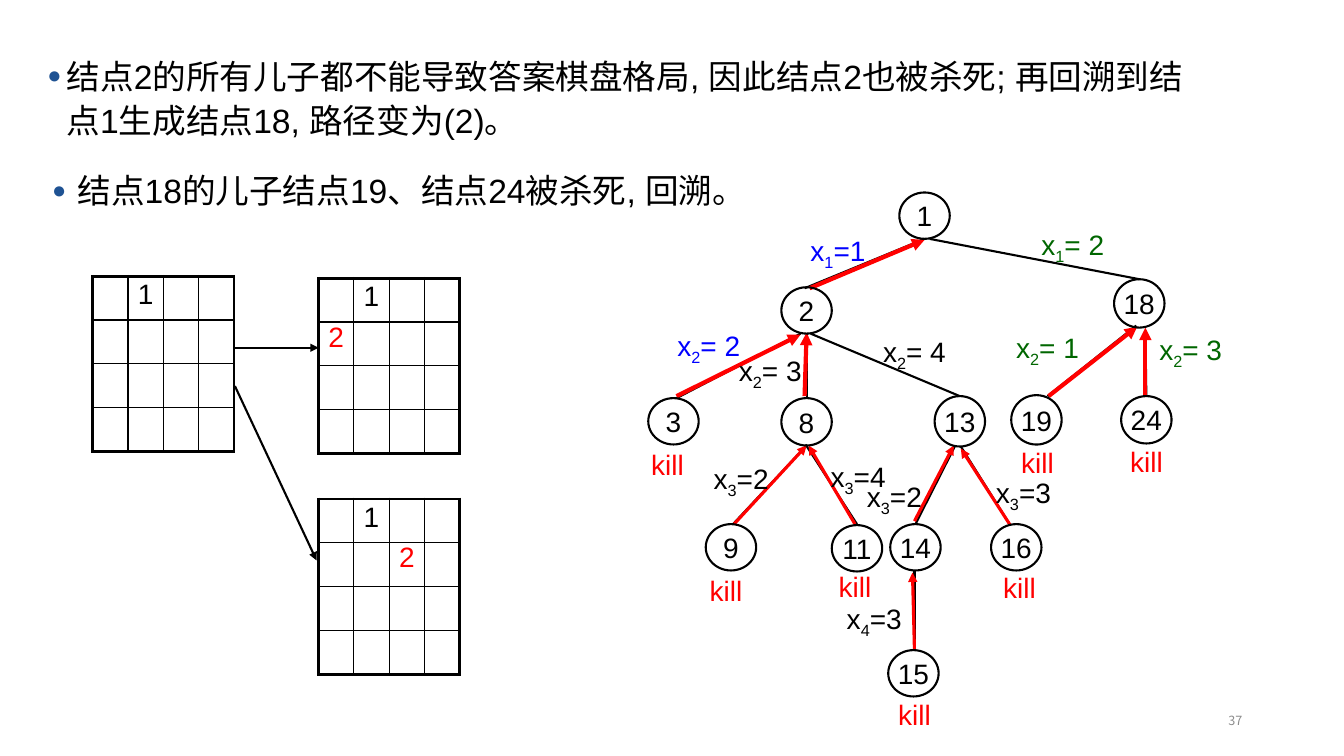
from lxml import etree
from pptx import Presentation
from pptx.dml.color import RGBColor
from pptx.enum.shapes import MSO_CONNECTOR, MSO_SHAPE
from pptx.enum.text import MSO_ANCHOR, MSO_AUTO_SIZE, PP_ALIGN
from pptx.oxml.ns import qn
from pptx.util import Inches, Pt

LINE, OVAL = MSO_CONNECTOR.STRAIGHT, MSO_SHAPE.OVAL
MIDDLE, TOP = MSO_ANCHOR.MIDDLE, MSO_ANCHOR.TOP
CENTER, RIGHT = PP_ALIGN.CENTER, PP_ALIGN.RIGHT
BLACK = RGBColor(0x00, 0x00, 0x00)
WHITE = RGBColor(0xFF, 0xFF, 0xFF)
RED = RGBColor(0xFF, 0x00, 0x00)
BLUE = RGBColor(0x00, 0x00, 0xFF)
GREEN = RGBColor(0x00, 0x66, 0x00)
GREY = RGBColor(0x8C, 0x8C, 0x8C)
CJK = "Noto Sans CJK SC"

prs = Presentation()
prs.slide_width, prs.slide_height = Inches(13.33), Inches(7.5)
slide = prs.slides.add_slide(prs.slide_layouts[1])
title = slide.shapes.title
title.element.getparent().remove(title.element)


def style(r, color, size=20, font="Arial"):
    r.font.name, r.font.size, r.font.color.rgb = font, Pt(size), color
    etree.SubElement(r.font._element, qn("a:ea"), typeface=CJK)


def add_line(x1, y1, x2, y2, color, width, arrow):
    s = slide.shapes.add_connector(LINE, Inches(x1), Inches(y1), Inches(x2), Inches(y2))
    s.line.color.rgb, s.line.width = color, Pt(width)
    if arrow:
        etree.SubElement(s.line._get_or_add_ln(), qn("a:tailEnd"), type="triangle")
    etree.SubElement(s._element.spPr, qn("a:effectLst"))


# Bulleted paragraphs
body = slide.placeholders[1]
body.left, body.top, body.width, body.height = (
    Inches(0.37), Inches(0.46), Inches(11.68), Inches(1.14))
note = slide.shapes.add_textbox(Inches(0.42), Inches(1.6), Inches(7.33), Inches(0.97))
bullets = [
    (body, 0.19, "结点2的所有儿子都不能导致答案棋盘格局, 因此结点2也被杀死; 再回溯到结点1生成结点18, 路径变为(2)。"),
    (note, 0.25, "结点18的儿子结点19、结点24被杀死, 回溯。"),
]
for s, indent, text in bullets:
    tf = s.text_frame
    tf.text = text
    tf.word_wrap, tf.auto_size, tf.vertical_anchor = True, MSO_AUTO_SIZE.NONE, TOP
    p = tf.paragraphs[0]
    p.line_spacing, p.space_before = 1.1, Pt(0)
    pPr = p._p.get_or_add_pPr()
    pPr.set("marL", str(Inches(indent)))
    pPr.set("indent", str(-Inches(indent)))
    bullet_color = etree.SubElement(pPr, qn("a:buClr"))
    etree.SubElement(bullet_color, qn("a:srgbClr"), val="1E5293")
    etree.SubElement(pPr, qn("a:buSzPct"), val="70000")
    etree.SubElement(pPr, qn("a:buFont"), typeface="Arial")
    etree.SubElement(pPr, qn("a:buChar"), char="●")
    style(p.runs[0], BLACK, 24)

# Chessboards: left, top, queens as (row, column, text, colour)
queen_1 = (0, 1, "1", BLACK)
boards = [
    (0.92, 2.74, [queen_1]),
    (3.16, 2.76, [queen_1, (1, 0, "2", RED)]),
    (3.16, 4.95, [queen_1, (1, 2, "2", RED)]),
]
for left, top, queens in boards:
    table = slide.shapes.add_table(
        4, 4, Inches(left), Inches(top), Inches(1.4), Inches(1.74)).table
    table.first_row = table.horz_banding = False
    for i in range(4):
        table.columns[i].width = Inches(0.35)
        table.rows[i].height = Inches(1.74 / 4)
        for j in range(4):
            cell = table.cell(i, j)
            cell.margin_left = cell.margin_right = Inches(0.05)
            tcPr = cell._tc.get_or_add_tcPr()
            edges = {"lnL": j == 0, "lnR": j == 3, "lnT": i == 0, "lnB": i == 3}
            for tag, outer in edges.items():
                ln = etree.SubElement(tcPr, qn("a:" + tag), w=str(Pt(2.25 if outer else 1)))
                fill = etree.SubElement(ln, qn("a:solidFill"))
                etree.SubElement(fill, qn("a:srgbClr"), val=str(BLACK))
            cell.fill.solid()
            cell.fill.fore_color.rgb = WHITE
    for row, col, text, color in queens:
        cell = table.cell(row, col)
        cell.text = text
        cell.vertical_anchor = MIDDLE if row == 0 else TOP
        p = cell.text_frame.paragraphs[0]
        p.alignment, p.line_spacing = CENTER, 0.7 if row == 0 else 0.8
        style(p.runs[0], color)

add_line(2.33, 3.45, 3.16, 3.45, BLACK, 1.5, True)
add_line(2.33, 3.83, 3.14, 5.56, BLACK, 1.5, True)

# Tree edges
edges = [
    (9.17, 2.37, 7.98, 2.86), (9.22, 2.37, 11.3, 2.77),
    (7.94, 3.31, 6.71, 3.95), (8, 3.3, 8, 3.95), (8.04, 3.31, 9.52, 3.93),
    (11.27, 3.23, 10.39, 3.93), (11.36, 3.28, 11.37, 3.93),
    (7.99, 4.43, 7.27, 5.2), (7.99, 4.41, 8.5, 5.2),
    (9.47, 4.43, 9.08, 5.2), (9.53, 4.43, 10.02, 5.21), (9.07, 5.66, 9.07, 6.46),
]
for edge in edges:
    add_line(*edge, BLACK, 1.5, False)

# Backtracking arrows, thicker on the upper levels
backtracks = [
    (8.03, 2.86, 9.17, 2.38, 3), (6.71, 3.93, 7.94, 3.32, 3), (7.98, 3.93, 8, 3.3, 3),
    (10.4, 3.93, 11.28, 3.24, 3), (11.36, 3.94, 11.36, 3.25, 3),
    (7.28, 5.2, 8, 4.42, 2.25), (8.48, 5.2, 8.02, 4.42, 2.25),
    (9.07, 5.17, 9.46, 4.42, 2.25), (10.02, 5.21, 9.53, 4.45, 2.25),
    (9.07, 6.45, 9.05, 5.68, 2.25),
]
for x1, y1, x2, y2, width in backtracks:
    add_line(x1, y1, x2, y2, RED, width, True)

# Tree nodes: number, left, top, height
nodes = [
    (1, 8.92, 1.91, 0.46), (2, 7.75, 2.85, 0.46), (18, 11.05, 2.77, 0.48),
    (3, 6.43, 3.95, 0.46), (8, 7.75, 3.95, 0.47), (13, 9.27, 3.93, 0.5),
    (19, 10.03, 3.92, 0.49), (24, 11.12, 3.93, 0.47),
    (9, 7, 5.2, 0.46), (11, 8.25, 5.21, 0.46), (14, 8.83, 5.2, 0.46),
    (16, 9.83, 5.2, 0.46), (15, 8.81, 6.45, 0.46),
]
for number, left, top, height in nodes:
    s = slide.shapes.add_shape(OVAL, Inches(left), Inches(top), Inches(0.5), Inches(height))
    s.shadow.inherit = False
    s.fill.background()
    s.line.color.rgb, s.line.width = BLACK, Pt(1.5)
    tf = s.text_frame
    tf.text = str(number)
    tf.word_wrap, tf.vertical_anchor = False, MIDDLE
    tf.paragraphs[0].alignment = CENTER
    style(tf.paragraphs[0].runs[0], BLACK)

# Edge labels: subscript, value, left, top, colour
labels = [
    ("1", "=1", 7.94, 2.27, BLUE), ("1", "= 2", 10.23, 2.21, GREEN),
    ("2", "= 2", 6.62, 3.21, BLUE), ("2", "= 3", 7.23, 3.46, BLACK),
    ("2", "= 4", 8.66, 3.27, BLACK), ("2", "= 1", 9.98, 3.23, GREEN),
    ("2", "= 3", 11.4, 3.25, GREEN), ("3", "=2", 6.98, 4.53, BLACK),
    ("3", "=4", 8.14, 4.51, BLACK), ("3", "=2", 8.5, 4.71, BLACK),
    ("3", "=3", 9.78, 4.67, BLACK), ("4", "=3", 8.3, 5.92, BLACK),
]
for index, value, left, top, color in labels:
    s = slide.shapes.add_textbox(Inches(left), Inches(top), Inches(0.94), Inches(0.44))
    s.text_frame.word_wrap = True
    p = s.text_frame.paragraphs[0]
    for text in ("x", index, value):
        r = p.add_run()
        r.text = text
        style(r, color)
    p.runs[1].font._element.set("baseline", "-25000")

# Kill marks under the dead nodes
kills = [(6.36, 4.46), (10.03, 4.44), (11.11, 4.43), (6.94, 5.71),
         (8.22, 5.67), (9.85, 5.68), (8.81, 6.94)]
for left, top in kills:
    s = slide.shapes.add_textbox(Inches(left), Inches(top), Inches(0.71), Inches(0.37))
    tf = s.text_frame
    tf.text, tf.word_wrap = "kill", True
    tf.paragraphs[0].line_spacing = 0.8
    style(tf.paragraphs[0].runs[0], RED)

# Slide number
s = slide.shapes.add_textbox(Inches(9.42), Inches(6.95), Inches(3), Inches(0.4))
tf = s.text_frame
tf.text, tf.word_wrap, tf.vertical_anchor = "37", True, MIDDLE
tf.paragraphs[0].alignment = RIGHT
style(tf.paragraphs[0].runs[0], GREY, 9, CJK)

prs.save("out.pptx")
